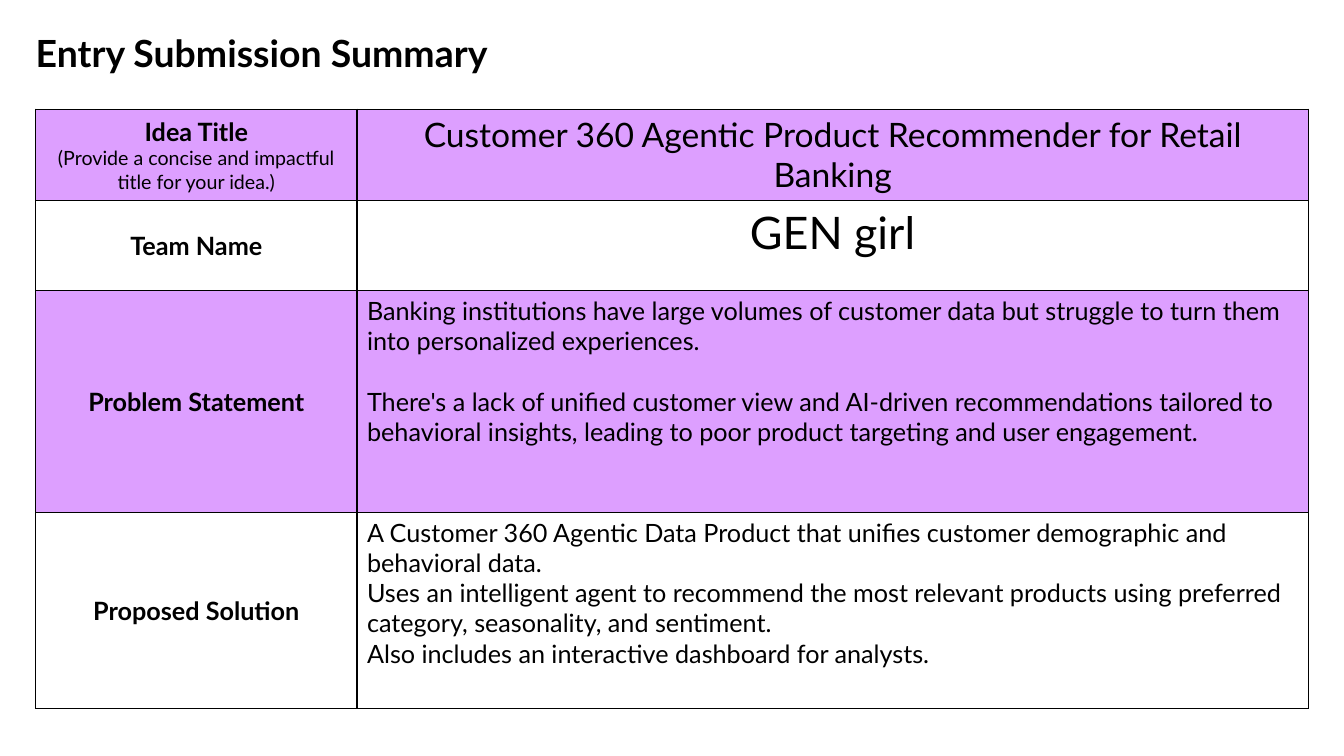
"""Build the entry submission summary slide."""
from dataclasses import dataclass

from lxml.etree import SubElement, fromstring
from pptx import Presentation
from pptx.dml.color import RGBColor
from pptx.enum.text import MSO_ANCHOR, MSO_AUTO_SIZE, PP_ALIGN
from pptx.oxml.ns import nsdecls, qn
from pptx.slide import Slide
from pptx.table import _Cell
from pptx.text.text import TextFrame, _Paragraph
from pptx.util import Emu, Pt


@dataclass(frozen=True)
class Theme:
    """Hold the colours, font and type sizes."""
    font: str = "Lato"
    ink: str = "000000"
    paper: str = "FFFFFF"
    accent: str = "DD9FFF"
    title_size: float = 26.7
    name_size: float = 32
    idea_size: float = 24
    body_size: float = 18
    hint_size: float = 14
    border_width: float = 1


@dataclass(frozen=True)
class Entry:
    """Describe one row of the summary table."""
    label: str
    paragraphs: tuple[str, ...]
    height: int
    fill: str
    size: float
    hint: str = ""
    alignment: PP_ALIGN = PP_ALIGN.LEFT
    gap: float = 0


THEME = Theme()
SLIDE_SIZE = (1280, 720)
TITLE_BOX = (34, 37, 1180, 89)
TABLE_LEFT, TABLE_TOP = 34, 104
COLUMN_WIDTHS = (306, 906)
ENTRIES = (
    Entry("Idea Title", ("Customer 360 Agentic Product Recommender for Retail Banking",),
          87, THEME.accent, THEME.idea_size, alignment=PP_ALIGN.CENTER,
          hint="(Provide a concise and impactful title for your idea.)"),
    Entry("Team Name", ("GEN girl",), 86, THEME.paper, THEME.name_size,
          alignment=PP_ALIGN.CENTER),
    Entry("Problem Statement", (
        "Banking institutions have large volumes of customer data but struggle to turn them "
        "into personalized experiences.",
        "There's a lack of unified customer view and AI-driven recommendations tailored to "
        "behavioral insights, leading to poor product targeting and user engagement.",
    ), 211, THEME.accent, THEME.body_size, gap=21.6),
    Entry("Proposed Solution", (
        "A Customer 360 Agentic Data Product that unifies customer demographic and "
        "behavioral data.",
        "Uses an intelligent agent to recommend the most relevant products using preferred "
        "category, seasonality, and sentiment.",
        "Also includes an interactive dashboard for analysts.",
    ), 187, THEME.paper, THEME.body_size),
)


def px(length: int) -> Emu:
    """Turn pixels into EMU."""
    return Emu(length * 9525)


def apply_format(target: object, values: dict[str, object]) -> None:
    """Set each named attribute on the target."""
    for name, value in values.items():
        setattr(target, name, value)


def add_run(paragraph: _Paragraph, text: str, size: float, bold: bool = False) -> None:
    """Append a run in the theme's font and ink."""
    run = paragraph.add_run()
    run.text = text
    apply_format(run.font, {"name": THEME.font, "size": Pt(size), "bold": bold})
    run.font.color.rgb = RGBColor.from_string(THEME.ink)


def draw_title(slide: Slide, text: str) -> None:
    """Place and fill the title placeholder."""
    title = slide.shapes.title
    apply_format(title, dict(zip(("left", "top", "width", "height"), map(px, TITLE_BOX))))
    apply_format(title.text_frame, {
        "margin_left": 0, "margin_top": 0, "margin_right": px(12), "margin_bottom": 0,
        "vertical_anchor": MSO_ANCHOR.TOP, "word_wrap": True,
        "auto_size": MSO_AUTO_SIZE.NONE,
    })
    paragraph = title.text_frame.paragraphs[0]
    apply_format(paragraph, {"alignment": PP_ALIGN.LEFT, "line_spacing": 0.8,
                             "space_before": Pt(0)})
    add_run(paragraph, text, THEME.title_size, True)


def style_cell(cell: _Cell, fill: str) -> None:
    """Fill a cell and rule its four sides."""
    cell.fill.solid()
    cell.fill.fore_color.rgb = RGBColor.from_string(fill)
    properties = cell._tc.get_or_add_tcPr()
    for position, side in enumerate(("lnL", "lnR", "lnT", "lnB")):
        line = fromstring(f'<a:{side} {nsdecls("a")} w="{Pt(THEME.border_width)}"/>')
        solid = SubElement(line, qn("a:solidFill"))
        SubElement(solid, qn("a:srgbClr"), val=THEME.ink)
        properties.insert(position, line)


def write_label(cell: _Cell, entry: Entry) -> None:
    """Write the row label with its optional hint."""
    cell.vertical_anchor = MSO_ANCHOR.MIDDLE
    paragraph = cell.text_frame.paragraphs[0]
    paragraph.alignment = PP_ALIGN.CENTER
    add_run(paragraph, entry.label, THEME.body_size, True)
    if entry.hint:
        paragraph.add_line_break()
        add_run(paragraph, entry.hint, THEME.hint_size)


def write_answer(frame: TextFrame, entry: Entry) -> None:
    """Write the paragraphs of a row's answer."""
    for index, text in enumerate(entry.paragraphs):
        paragraph = frame.add_paragraph() if index else frame.paragraphs[0]
        apply_format(paragraph, {"alignment": entry.alignment,
                                 "space_before": Pt(entry.gap if index else 0)})
        add_run(paragraph, text, entry.size)


def draw_table(slide: Slide, entries: tuple[Entry, ...]) -> None:
    """Draw the summary table with one row per entry."""
    height = sum(entry.height for entry in entries)
    table = slide.shapes.add_table(
        len(entries), len(COLUMN_WIDTHS), px(TABLE_LEFT), px(TABLE_TOP),
        px(sum(COLUMN_WIDTHS)), px(height)).table
    apply_format(table, {"first_row": False, "horz_banding": False})
    for column, width in zip(table.columns, COLUMN_WIDTHS):
        column.width = px(width)
    for row, entry in zip(table.rows, entries):
        row.height = px(entry.height)
        label, answer = row.cells
        for cell in (label, answer):
            style_cell(cell, entry.fill)
        write_label(label, entry)
        write_answer(answer.text_frame, entry)


def main() -> None:
    """Build and save the presentation."""
    presentation = Presentation()
    width, height = map(px, SLIDE_SIZE)
    apply_format(presentation, {"slide_width": width, "slide_height": height})
    slide = presentation.slides.add_slide(presentation.slide_layouts[5])
    slide.background.fill.solid()
    slide.background.fill.fore_color.rgb = RGBColor.from_string(THEME.paper)
    draw_title(slide, "Entry Submission Summary")
    draw_table(slide, ENTRIES)
    presentation.save("out.pptx")


if __name__ == "__main__":
    main()
